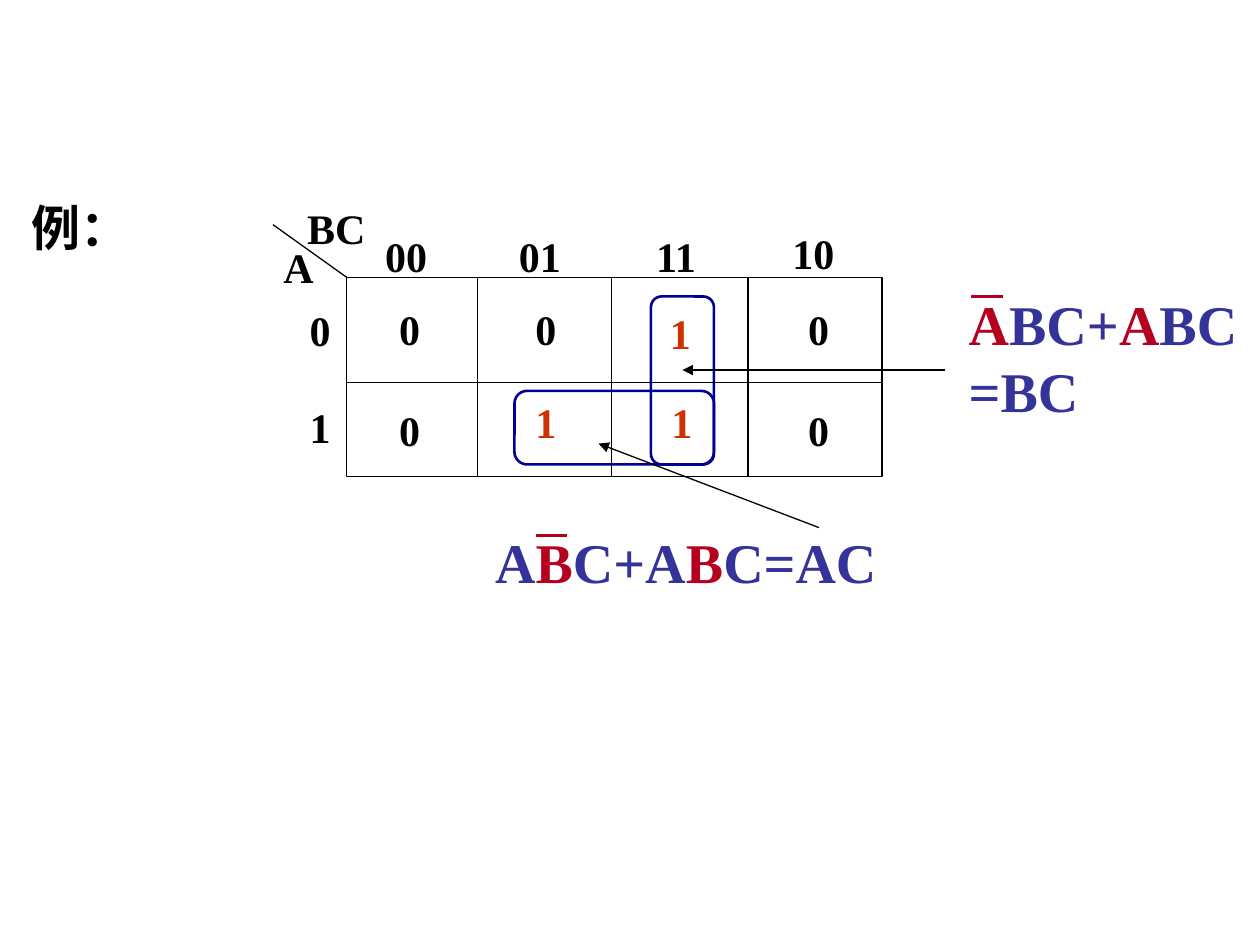
from pptx import Presentation
from pptx.dml.color import RGBColor
from pptx.enum.shapes import MSO_CONNECTOR, MSO_SHAPE
from pptx.enum.text import MSO_AUTO_SIZE
from pptx.oxml.ns import qn
from pptx.util import Pt
from lxml import etree

BLACK = RGBColor(0x00, 0x00, 0x00)
ORANGE = RGBColor(0xCC, 0x33, 0x00)
NAVY = RGBColor(0x00, 0x00, 0x99)
BLUE = RGBColor(0x33, 0x33, 0x99)
RED = RGBColor(0xB5, 0x01, 0x1F)

deck = Presentation()
deck.slide_width, deck.slide_height = Pt(720), Pt(540)
page = deck.slides.add_slide(deck.slide_layouts[6])


def add_label(left, top, width, height, size, paragraphs):
    """Add a bold text box; each paragraph is a list of (text, color) spans."""
    box = page.shapes.add_textbox(Pt(left), Pt(top), Pt(width), Pt(height))
    frame = box.text_frame
    frame.word_wrap = False
    frame.auto_size = MSO_AUTO_SIZE.SHAPE_TO_FIT_TEXT
    font_format = {"name": "Times New Roman", "size": Pt(size), "bold": True}
    for index, spans in enumerate(paragraphs):
        para = frame.add_paragraph() if index else frame.paragraphs[0]
        for text, color in spans:
            span = para.add_run()
            span.text = text
            for key, value in font_format.items():
                setattr(span.font, key, value)
            span.font.color.rgb = color


def add_line(x1, y1, x2, y2, color=BLACK, weight=0.75, arrow=False):
    line = page.shapes.add_connector(
        MSO_CONNECTOR.STRAIGHT, Pt(x1), Pt(y1), Pt(x2), Pt(y2))
    line.line.color.rgb = color
    line.line.width = Pt(weight)
    if arrow:
        etree.SubElement(line.line._get_or_add_ln(), qn("a:tailEnd"), type="triangle")
    etree.SubElement(line._element.spPr, qn("a:effectLst"))


add_label(10.8, 109.4, 69.8, 41, 28, [[("例：", BLACK)]])

# Karnaugh map grid and the loops around neighbouring ones
left, top, right, bottom = 198, 158.4, 504, 272.2
outlines = [
    (MSO_SHAPE.RECTANGLE, left, top, right - left, bottom - top, BLACK, 0.75),
    (MSO_SHAPE.ROUNDED_RECTANGLE, 372, 169.4, 36, 96, NAVY, 1.5),
    (MSO_SHAPE.ROUNDED_RECTANGLE, 294, 223.4, 114, 42, NAVY, 1.5),
]
for kind, x, y, width, height, color, weight in outlines:
    outline = page.shapes.add_shape(kind, Pt(x), Pt(y), Pt(width), Pt(height))
    outline.shadow.inherit = False
    outline.fill.background()
    outline.line.color.rgb = color
    outline.line.width = Pt(weight)
    if kind == MSO_SHAPE.ROUNDED_RECTANGLE:
        outline.adjustments[0] = 0.17

add_line(left, 218.4, right, 218.4)
for x in (273, 349.5, 427.5):
    add_line(x, top, x, bottom)
add_line(left, top, 156, 128.4)

# Variable names, row and column codes, cell values
labels = [
    ("A", 154.8, 134.6, BLACK), ("BC", 168.5, 112.3, BLACK),
    ("0", 169.9, 170.6, BLACK), ("1", 169.9, 226, BLACK),
    ("00", 213, 128.2, BLACK), ("01", 289.4, 128.2, BLACK),
    ("11", 367.9, 128.2, BLACK), ("10", 445.7, 126.7, BLACK),
    ("1", 375.8, 172, ORANGE), ("1", 298.8, 223.2, ORANGE),
    ("1", 376.6, 223.2, ORANGE),
    ("0", 221, 170, BLACK), ("0", 298.8, 170, BLACK), ("0", 454.8, 170, BLACK),
    ("0", 221, 227.5, BLACK), ("0", 454.8, 227.5, BLACK),
]
label_widths = {"A": 31.7, "BC": 47.5, "0": 25.9, "1": 25.9}
for text, x, y, color in labels:
    add_label(x, y, label_widths.get(text, 38.2), 36, 24, [[(text, color)]])

# Simplified terms, with a bar over each negated variable
add_line(540, 211.5, 390, 211.5, weight=1.5, arrow=True)
add_label(546.5, 162, 167.8, 84.2, 32, [
    [("A", RED), ("BC+", BLUE), ("A", RED), ("BC", BLUE)],
    [("=BC", BLUE)],
])
add_line(555, 169.4, 573, 169.4, RED, 1.5)

add_line(468, 301.5, 342, 253.5, arrow=True)
add_label(275.8, 298.1, 232.6, 46.1, 32, [
    [("A", BLUE), ("B", RED), ("C+A", BLUE), ("B", RED), ("C=AC", BLUE)],
])
add_line(306, 306, 324, 306, RED, 1.5)

deck.save("out.pptx")
